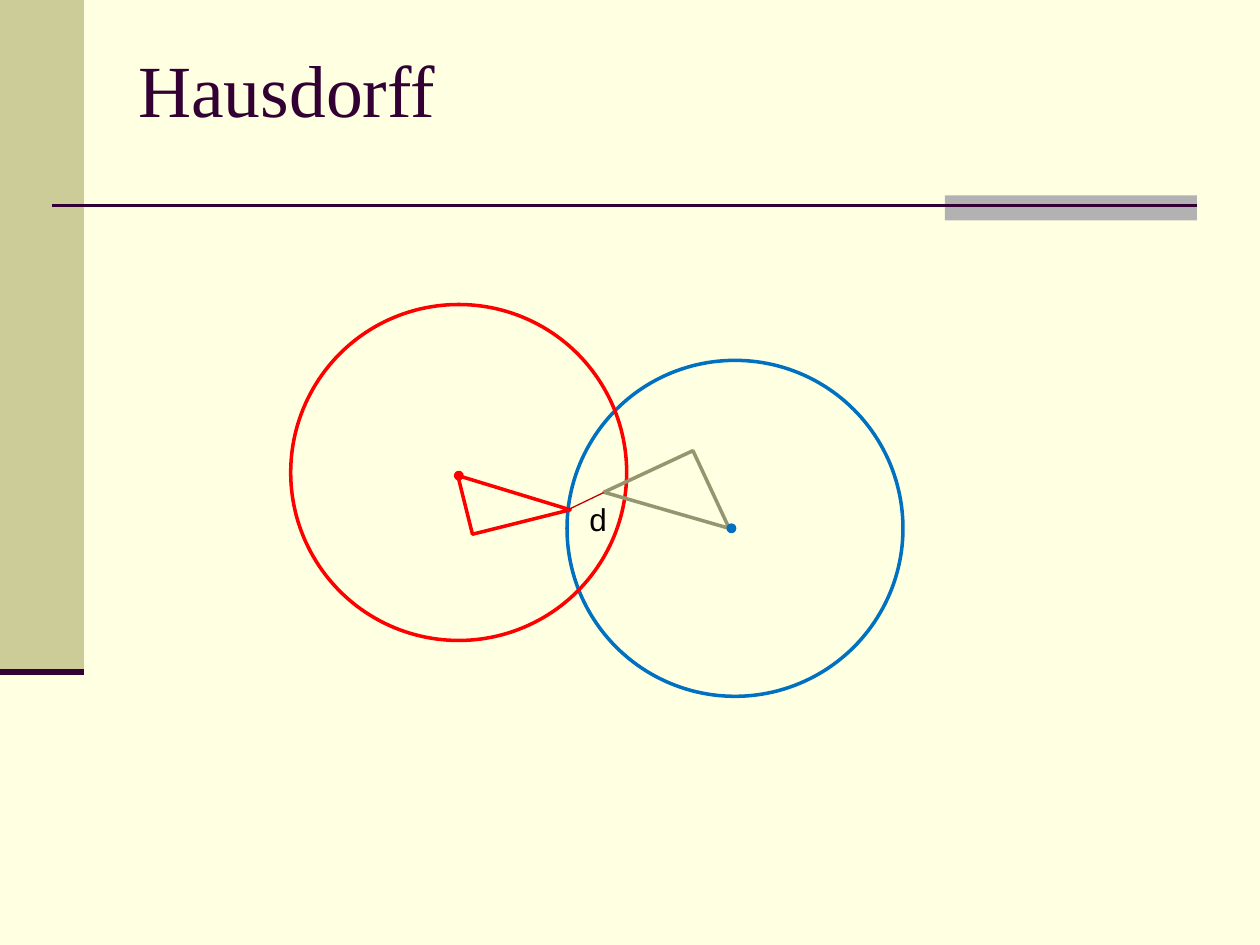
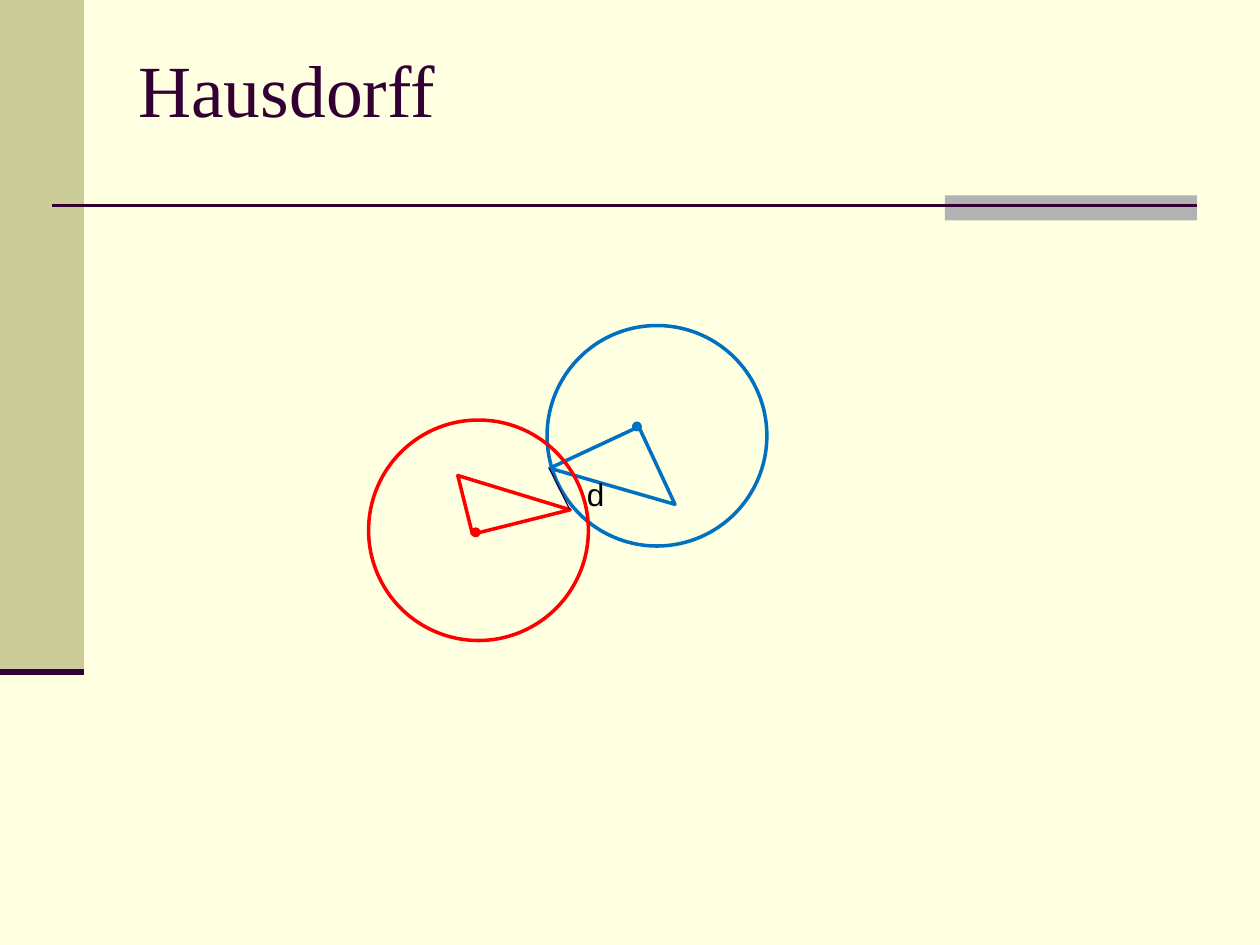
from lxml import etree
from pptx import Presentation
from pptx.dml.color import RGBColor
from pptx.enum import shapes, text
from pptx.oxml import ns
from pptx.util import Pt

CREAM = RGBColor(0xFF, 0xFF, 0xE1)
KHAKI = RGBColor(0xCC, 0xCC, 0x99)
GREY = RGBColor(0xB2, 0xB2, 0xB2)
PLUM = RGBColor(0x33, 0x00, 0x33)
BLUE = RGBColor(0x00, 0x70, 0xC0)
RED = RGBColor(0xFF, 0x00, 0x00)
OLIVE = RGBColor(0x95, 0x95, 0x6F)
WINE = RGBColor(0xC0, 0x00, 0x00)
BLACK = RGBColor(0x00, 0x00, 0x00)

RECT = shapes.MSO_SHAPE.RECTANGLE
ROUND = shapes.MSO_SHAPE.FLOWCHART_CONNECTOR
WEDGE = shapes.MSO_SHAPE.RIGHT_TRIANGLE

HEAD = {"name": "Times New Roman", "size": Pt(42)}
LABEL = {"name": "Arial", "size": Pt(18)}
INSET = {"margin_left": Pt(7.2), "margin_right": Pt(7.2),
         "margin_top": Pt(3.6), "margin_bottom": Pt(3.6),
         "vertical_anchor": text.MSO_ANCHOR.TOP, "word_wrap": True}
DOT = 3.6


class Deck:
    def __init__(self):
        self.prs = Presentation()
        self.prs.slide_width, self.prs.slide_height = Pt(720), Pt(540)
        fill = self.prs.slide_master.background.fill
        fill.solid()
        fill.fore_color.rgb = CREAM
        self.slide = None

    def page(self, title):
        self.slide = self.prs.slides.add_slide(self.prs.slide_layouts[6])
        self.shape(RECT, (0, 0, 48, 384), fill=KHAKI)
        self.shape(RECT, (540, 111.6, 144, 14.4), fill=GREY)
        self.line((30, 117.6), (684, 117.6), PLUM, 1.5)
        self.line((0, 384), (48, 384), PLUM, 3.5)
        self.label(title, (72, 21.6, 612, 90), HEAD, PLUM)

    def shape(self, kind, box, fill=None, edge=None):
        item = self.slide.shapes.add_shape(kind, *map(Pt, box))
        item.shadow.inherit = False
        if fill is None:
            item.fill.background()
        else:
            item.fill.solid()
            item.fill.fore_color.rgb = fill
        if edge is None:
            item.line.fill.background()
        else:
            item.line.color.rgb = edge
            item.line.width = Pt(2)
        return item

    def ring(self, left, top, wide, high, color):
        self.shape(ROUND, (left, top, wide, high), edge=color)

    def dot(self, left, top, color):
        self.shape(ROUND, (left, top, DOT, DOT), color, color)

    def wedge(self, box, turn, color, flip=False):
        item = self.shape(WEDGE, box, edge=color)
        item.rotation = turn
        if flip:
            item._element.spPr.find(ns.qn("a:xfrm")).set("flipV", "1")

    def line(self, start, end, color, width):
        item = self.slide.shapes.add_connector(
            shapes.MSO_CONNECTOR.STRAIGHT, *map(Pt, start + end))
        item.line.color.rgb = color
        item.line.width = Pt(width)
        etree.SubElement(item._element.spPr, ns.qn("a:effectLst"))

    def label(self, words, box, style, color):
        frame = self.slide.shapes.add_textbox(*map(Pt, box)).text_frame
        for key, value in INSET.items():
            setattr(frame, key, value)
        para = frame.paragraphs[0]
        para.text = words
        for key, value in style.items():
            setattr(para.font, key, value)
        para.font.color.rgb = color

    def pair(self, left, top, color):
        self.wedge((264.96, 264.24, 57.6, 34.56), 346, RED)
        self.wedge((left, top, 48.96, 56.16), 65, color, flip=True)

    def gap(self, end, color, left, top):
        self.line((325.44, 290.88), end, color, 0.75)
        self.label("d", (left, top, 23.04, 28.8), LABEL, BLACK)


def main():
    deck = Deck()

    deck.page("Hausdorff")
    deck.ring(324, 205.92, 192, 192, BLUE)
    deck.ring(166.1, 174, 192, 192, RED)
    deck.pair(356.4, 263.52, OLIVE)
    deck.dot(260.4, 270, RED)
    deck.dot(416.16, 300.1, BLUE)
    deck.gap((344.88, 281.52), WINE, 329.76, 282.24)

    deck.page("Hausdorff")
    deck.ring(312.6, 186, 125.6, 126, BLUE)
    deck.pair(325.44, 249.84, BLUE)
    deck.ring(210.6, 240, 125.6, 126, RED)
    deck.dot(270, 302.4, RED)
    deck.dot(362.16, 241.92, BLUE)
    deck.gap((313.92, 267.84), PLUM, 328.32, 267.84)

    deck.prs.save("out.pptx")


if __name__ == "__main__":
    main()
